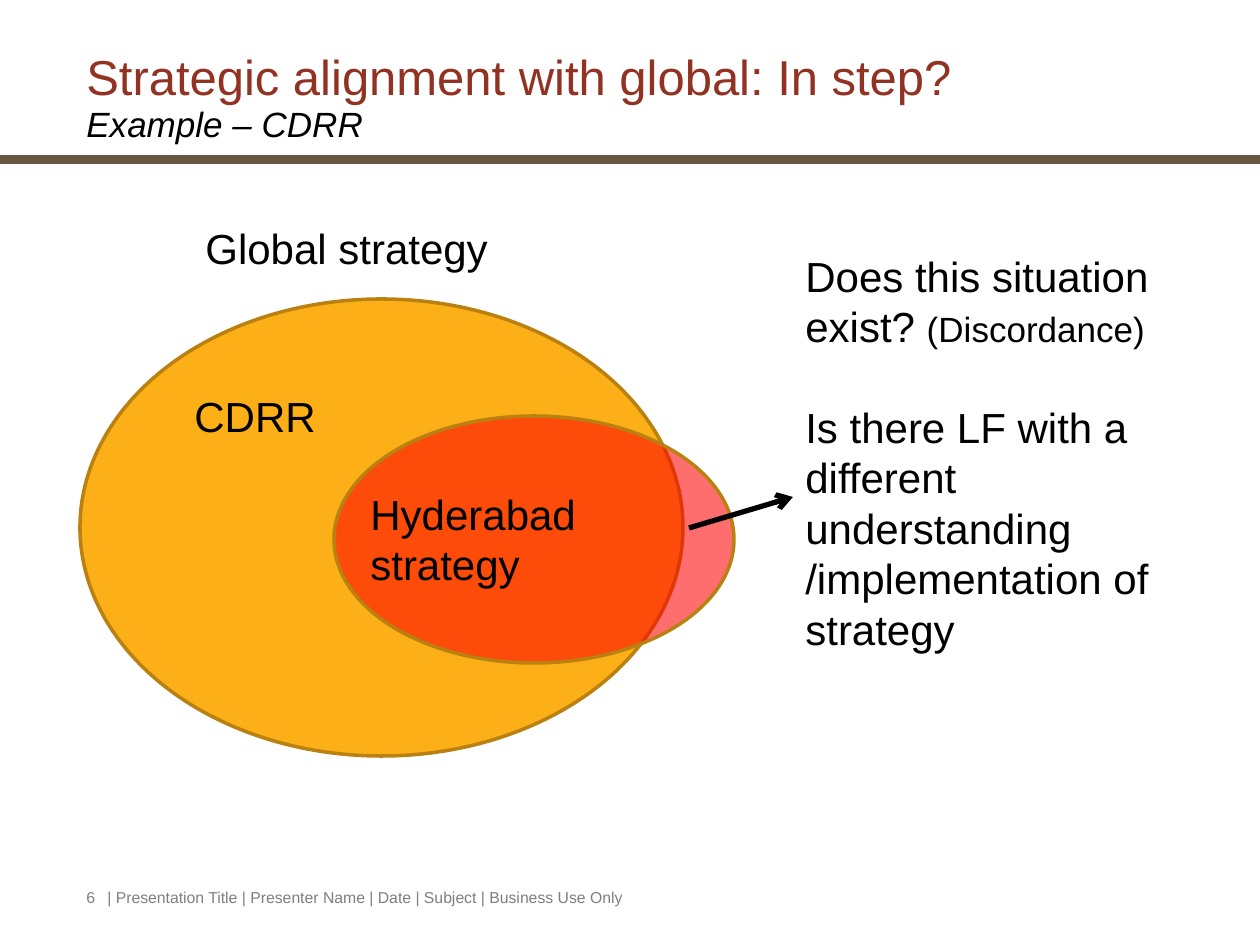
from dataclasses import dataclass

from lxml.etree import SubElement
from pptx import Presentation
from pptx.dml.color import RGBColor
from pptx.enum.shapes import MSO_CONNECTOR, MSO_SHAPE
from pptx.enum.text import MSO_ANCHOR
from pptx.oxml.ns import qn
from pptx.util import Emu, Pt

EMU_PER_PX = 914400 / 126


@dataclass(frozen=True)
class Theme:
    font: str = "Arial"
    title: str = "923222"
    ink: str = "000000"
    muted: str = "7F7F7F"
    rule: str = "6A5540"
    global_fill: str = "FCAF17"
    local_fill: str = "FF0000"
    outline: str = "BA8111"
    title_size: int = 28
    label_size: int = 24
    subtitle_size: int = 20
    footer_size: int = 9


THEME = Theme()


def px(length):
    return Emu(round(length * EMU_PER_PX))


def frame(*lengths):
    return [px(length) for length in lengths]


def rgb(color):
    return RGBColor.from_string(color)


def add_text(page, place, paragraphs, size=THEME.label_size, color=THEME.ink,
             italic=False):
    """Add a wrapped text box; each string becomes a paragraph."""
    box = page.shapes.add_textbox(*frame(*place))
    text_frame = box.text_frame
    text_frame.word_wrap = True
    text_frame.text = "\n".join(paragraphs)
    for para in text_frame.paragraphs:
        for span in para.runs:
            style_span(span, size, color, italic)
    return text_frame


def style_span(span, size, color=THEME.ink, italic=False):
    span.font.name = THEME.font
    span.font.size = Pt(size)
    span.font.color.rgb = rgb(color)
    span.font.italic = italic


def add_filled(page, kind, place, fill, outline=None, opacity=100):
    shape = page.shapes.add_shape(kind, *frame(*place))
    shape.shadow.inherit = False
    shape.fill.solid()
    shape.fill.fore_color.rgb = rgb(fill)
    if opacity < 100:
        color = shape.fill._xPr.find(".//" + qn("a:srgbClr"))
        SubElement(color, qn("a:alpha"), val=str(opacity * 1000))
    if outline:
        shape.line.color.rgb = rgb(outline)
        shape.line.width = Pt(2)
    else:
        shape.line.fill.background()


def add_arrow(page, start, end):
    arrow = page.shapes.add_connector(MSO_CONNECTOR.STRAIGHT, *frame(*start, *end))
    arrow.line.color.rgb = rgb(THEME.ink)
    arrow.line.width = Pt(3)
    SubElement(arrow.line._get_or_add_ln(), qn("a:tailEnd"), type="arrow")
    SubElement(arrow._element.spPr, qn("a:effectLst"))


def add_header(page):
    add_filled(page, MSO_SHAPE.RECTANGLE, (0, 155, 1260, 9), THEME.rule)
    title = add_text(page, (74, 42, 1147, 111),
                     ["Strategic alignment with global: In step?"],
                     THEME.title_size, THEME.title)
    title.margin_top = px(18)
    title.paragraphs[0].line_spacing = 0.75
    subtitle = add_text(page, (74, 102, 1145, 50), ["Example – CDRR"],
                        THEME.subtitle_size, italic=True)
    subtitle.vertical_anchor = MSO_ANCHOR.BOTTOM
    subtitle.paragraphs[0].line_spacing = 0.95


def add_footer(page):
    for left, width, text in (
        (74, 55, "6"),
        (95, 892, "| Presentation Title | Presenter Name | Date | Subject | Business Use Only"),
    ):
        add_text(page, (left, 882, width, 34), [text], THEME.footer_size, THEME.muted)


def add_strategy_overlap(page):
    add_filled(page, MSO_SHAPE.OVAL, (80, 299, 603, 457),
               THEME.global_fill, THEME.outline)
    add_filled(page, MSO_SHAPE.OVAL, (334, 416, 400, 247),
               THEME.local_fill, THEME.outline, opacity=57)
    add_text(page, (193, 216, 414, 64), ["Global strategy"])
    add_text(page, (358, 482, 301, 115), ["Hyderabad strategy"])
    add_text(page, (182, 384, 176, 64), ["CDRR"])
    add_arrow(page, (689, 528), (793, 497))


def add_questions(page):
    text_frame = add_text(page, (793, 244, 467, 369), [
        "Does this situation exist? ",
        "Is there LF with a different understanding /implementation of strategy",
    ])
    first, second = text_frame.paragraphs
    remark = first.add_run()
    remark.text = "(Discordance)"
    style_span(remark, THEME.subtitle_size)
    second.space_before = Pt(THEME.label_size * 1.2)


def main():
    deck = Presentation()
    deck.slide_width, deck.slide_height = frame(1260, 945)
    page = deck.slides.add_slide(deck.slide_layouts[6])
    add_header(page)
    add_footer(page)
    add_strategy_overlap(page)
    add_questions(page)
    deck.save("out.pptx")


if __name__ == "__main__":
    main()
